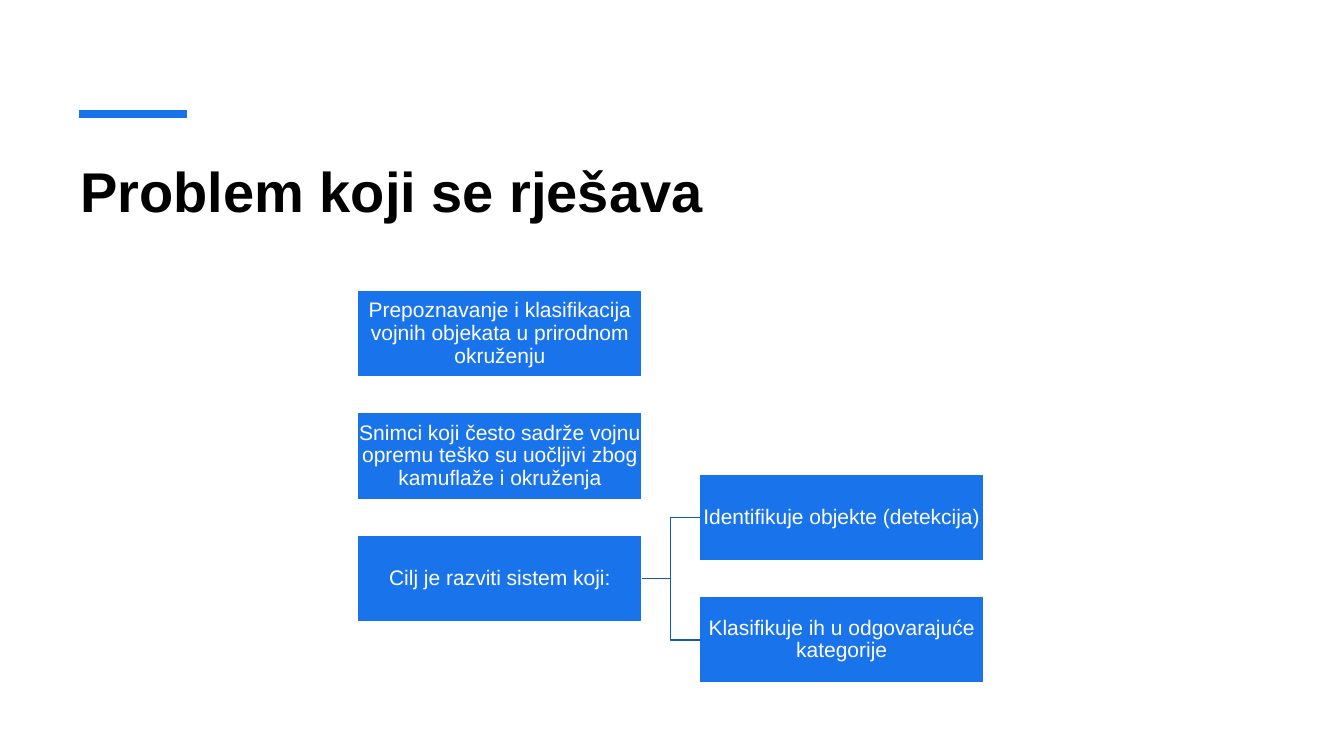
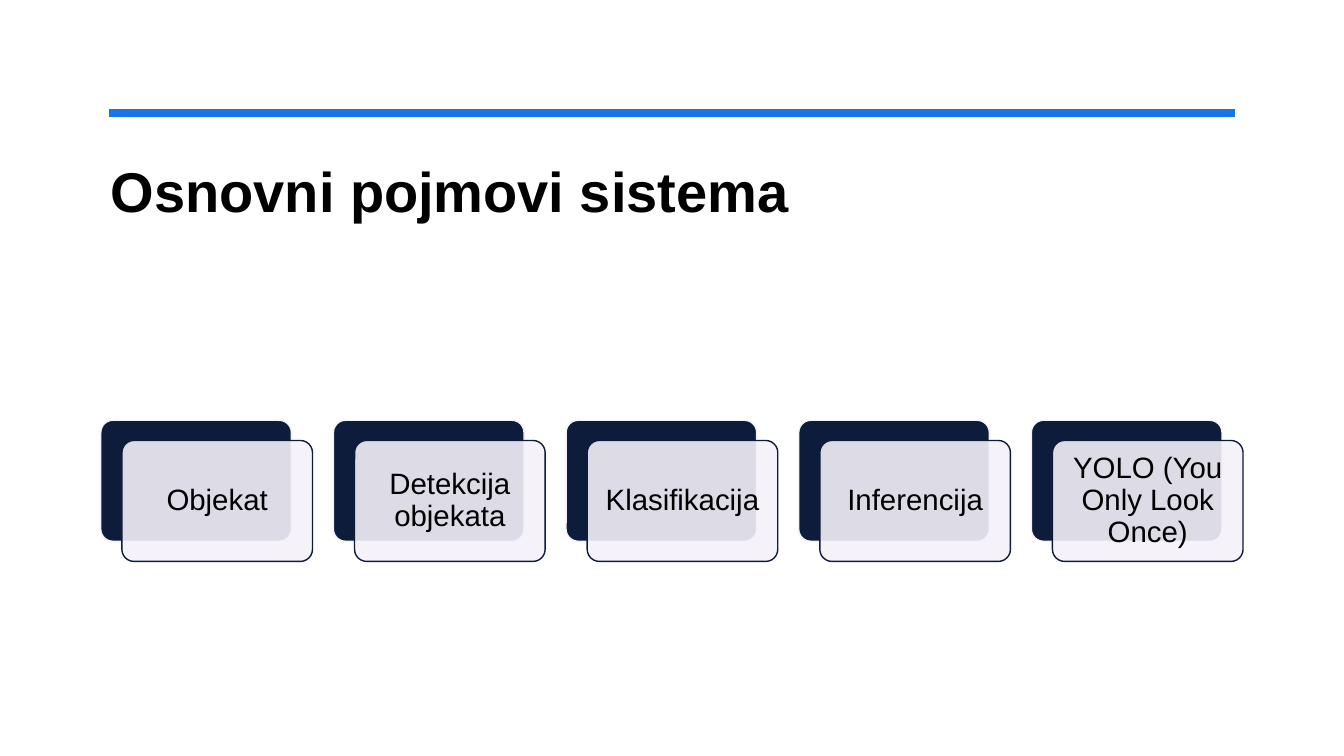
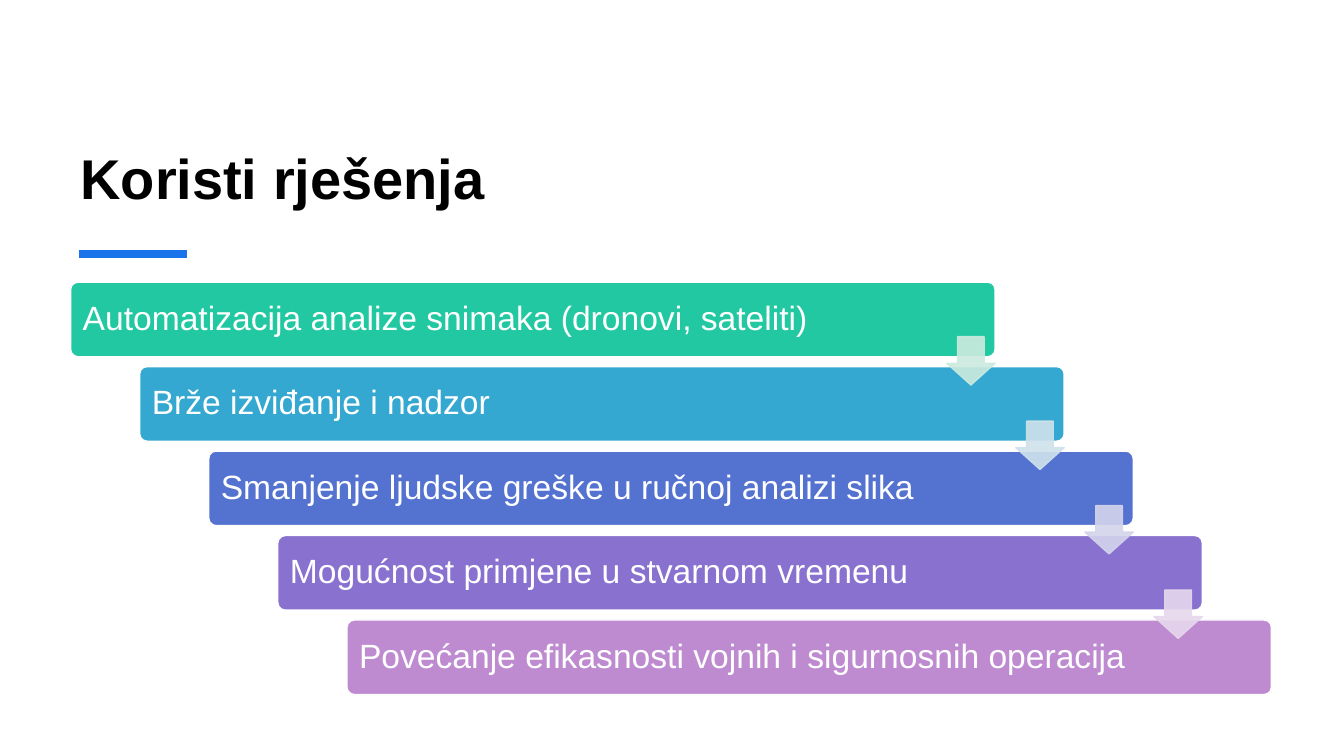
import dataclasses

import pptx
import pptx.dml.color
import pptx.enum.shapes
import pptx.enum.text
import pptx.oxml
import pptx.oxml.ns
import pptx.util

SHAPES = pptx.enum.shapes.MSO_SHAPE
CONNECTORS = pptx.enum.shapes.MSO_CONNECTOR
ANCHORS = pptx.enum.text.MSO_ANCHOR
ALIGNMENTS = pptx.enum.text.PP_ALIGN


@dataclasses.dataclass(frozen=True)
class Theme:
    font: str = "Arial"
    title_size: int = 40
    node_size: int = 15
    term_size: int = 21
    benefit_size: int = 24
    accent_width: int = 6
    line_width: int = 1
    opacity: int = 90
    line_spacing: float = 0.9
    black: str = "000000"
    white: str = "FFFFFF"
    accent: str = "1973EB"
    branch: str = "115AB9"
    navy: str = "0D1C3B"
    pale: str = "F4F1F9"
    steps: tuple = ("22C8A1", "35A8D1", "5472CF", "8871CF", "BE8BD1")
    arrows: tuple = ("CBEBDF", "CFE2EB", "D4D4EC", "E6D8ED")


def apply_format(target, values):
    for name, value in values.items():
        setattr(target, name, value)


def rgb(color):
    return pptx.dml.color.RGBColor.from_string(color)


class Deck:
    def __init__(self, theme):
        self.theme = theme
        self.presentation = pptx.Presentation()
        apply_format(self.presentation, {
            "slide_width": pptx.util.Inches(13.33),
            "slide_height": pptx.util.Inches(7.5),
        })
        self.slide = None

    def add_slide(self):
        self.slide = self.presentation.slides.add_slide(self.presentation.slide_layouts[6])

    def across(self, percent):
        return round(self.presentation.slide_width * percent / 100)

    def down(self, percent):
        return round(self.presentation.slide_height * percent / 100)

    def place(self, left, top, width, height):
        return self.across(left), self.down(top), self.across(width), self.down(height)

    def set_text(self, shape, text, size, color, margins, spacing=1.0, bold=False,
                 anchor=ANCHORS.MIDDLE, alignment=ALIGNMENTS.LEFT):
        horizontal, vertical = (pptx.util.Inches(margin) for margin in margins)
        frame = shape.text_frame
        apply_format(frame, {
            "text": text, "word_wrap": True, "vertical_anchor": anchor,
            "margin_left": horizontal, "margin_right": horizontal,
            "margin_top": vertical, "margin_bottom": vertical,
        })
        paragraph = frame.paragraphs[0]
        apply_format(paragraph, {"alignment": alignment, "line_spacing": spacing})
        font = paragraph.runs[0].font
        apply_format(font, {"name": self.theme.font, "size": pptx.util.Pt(size), "bold": bold})
        font.color.rgb = rgb(color)

    def title(self, text, box, anchor=ANCHORS.TOP):
        shape = self.slide.shapes.add_textbox(*self.place(*box))
        self.set_text(shape, text, self.theme.title_size, self.theme.black, (0.1, 0.05),
                      bold=True, anchor=anchor)

    def shape(self, kind, box, fill, line, adjustments=()):
        shape = self.slide.shapes.add_shape(kind, *self.place(*box))
        shape.shadow.inherit = False
        shape.fill.solid()
        shape.fill.fore_color.rgb = rgb(fill)
        shape.line.color.rgb = rgb(line)
        shape.line.width = pptx.util.Pt(self.theme.line_width)
        for index, value in enumerate(adjustments):
            shape.adjustments[index] = value
        return shape

    def fade(self, shape, selector):
        for color in shape.element.spPr.xpath(selector):
            alpha = pptx.oxml.parse_xml(
                f'<a:alpha {pptx.oxml.ns.nsdecls("a")} val="{self.theme.opacity * 1000}"/>')
            color.append(alpha)

    def connector(self, kind, start, end, color, width):
        connector = self.slide.shapes.add_connector(
            kind, self.across(start[0]), self.down(start[1]),
            self.across(end[0]), self.down(end[1]))
        connector.line.color.rgb = rgb(color)
        connector.line.width = pptx.util.Pt(width)
        connector.element.spPr.append(
            pptx.oxml.parse_xml(f'<a:effectLst {pptx.oxml.ns.nsdecls("a")}/>'))
        return connector

    def accent(self, left, right, top):
        self.connector(CONNECTORS.STRAIGHT, (left, top), (right, top),
                       self.theme.accent, self.theme.accent_width)

    def node(self, text, column, row):
        box = (26.62 + column * 25.43, 38.4 + row * 16.2, 21.15, 11.47)
        shape = self.shape(SHAPES.RECTANGLE, box, self.theme.accent, self.theme.white)
        self.set_text(shape, text, self.theme.node_size, self.theme.white, (0.01, 0.01),
                      spacing=self.theme.line_spacing, alignment=ALIGNMENTS.CENTER)
        return shape

    def branch(self, parent, child):
        connector = self.connector(CONNECTORS.ELBOW, (0, 0), (0, 0),
                                   self.theme.branch, self.theme.line_width)
        connector.begin_connect(parent, 3)
        connector.end_connect(child, 1)

    def term(self, text, column):
        left, top, width, height = 7.5 + column * 17.31, 55.6, 14.18, 16
        self.shape(SHAPES.ROUNDED_RECTANGLE, (left, top, width, height),
                   self.theme.navy, self.theme.pale, (0.1,))
        card = self.shape(SHAPES.ROUNDED_RECTANGLE, (left + 1.57, top + 2.67, width, height),
                          self.theme.pale, self.theme.navy, (0.1,))
        self.fade(card, "./a:solidFill/a:srgbClr")
        self.set_text(card, text, self.theme.term_size, self.theme.black, (0.09, 0.09),
                      spacing=self.theme.line_spacing, alignment=ALIGNMENTS.CENTER)

    def stair(self, kind, step, box, fill, line, adjustments):
        left, top, width, height = box
        return self.shape(kind, (left + step * 5.14, top + step * 11.17, width, height),
                          fill, line, adjustments)

    def benefit(self, text, step):
        bar = self.stair(SHAPES.ROUNDED_RECTANGLE, step, (5.25, 37.33, 68.79, 9.87),
                         self.theme.steps[step], self.theme.white, (0.1,))
        self.set_text(bar, text, self.theme.benefit_size, self.theme.white, (0.1, 0.1),
                      spacing=self.theme.line_spacing)

    def step_arrow(self, step):
        color = self.theme.arrows[step]
        arrow = self.stair(SHAPES.DOWN_ARROW, step, (70.44, 44.53, 3.6, 6.4),
                           color, color, (0.55, 0.45))
        self.fade(arrow, ".//a:srgbClr")


def build_problem(deck):
    deck.add_slide()
    deck.accent(5.85, 13.88, 15.07)
    deck.title("Problem koji se rješava", (5.25, 20, 89.35, 16))
    statements = (
        "Prepoznavanje i klasifikacija vojnih objekata u prirodnom okruženju",
        "Snimci koji često sadrže vojnu opremu teško su uočljivi zbog kamuflaže i okruženja",
        "Cilj je razviti sistem koji:",
    )
    goal = [deck.node(text, 0, row) for row, text in enumerate(statements)][-1]
    tasks = ("Identifikuje objekte (detekcija)", "Klasifikuje ih u odgovarajuće kategorije")
    for index, text in enumerate(tasks):
        deck.branch(goal, deck.node(text, 1, index + 1.5))


def build_terms(deck):
    deck.add_slide()
    deck.title("Osnovni pojmovi sistema", (7.5, 20, 85, 16.67))
    deck.accent(8.1, 91.9, 14.93)
    terms = ("Objekat", "Detekcija objekata", "Klasifikacija", "Inferencija",
             "YOLO (You Only Look Once)")
    for column, text in enumerate(terms):
        deck.term(text, column)


def build_benefits(deck):
    deck.add_slide()
    deck.title("Koristi rješenja", (5.25, 8.27, 89.35, 20.27), ANCHORS.BOTTOM)
    deck.accent(5.85, 13.88, 33.6)
    benefits = (
        "Automatizacija analize snimaka (dronovi, sateliti)",
        "Brže izviđanje i nadzor",
        "Smanjenje ljudske greške u ručnoj analizi slika",
        "Mogućnost primjene u stvarnom vremenu",
        "Povećanje efikasnosti vojnih i sigurnosnih operacija",
    )
    for step, text in enumerate(benefits):
        deck.benefit(text, step)
    for step in range(len(benefits) - 1):
        deck.step_arrow(step)


def main():
    deck = Deck(Theme())
    for build in (build_problem, build_terms, build_benefits):
        build(deck)
    deck.presentation.save("out.pptx")


if __name__ == "__main__":
    main()
